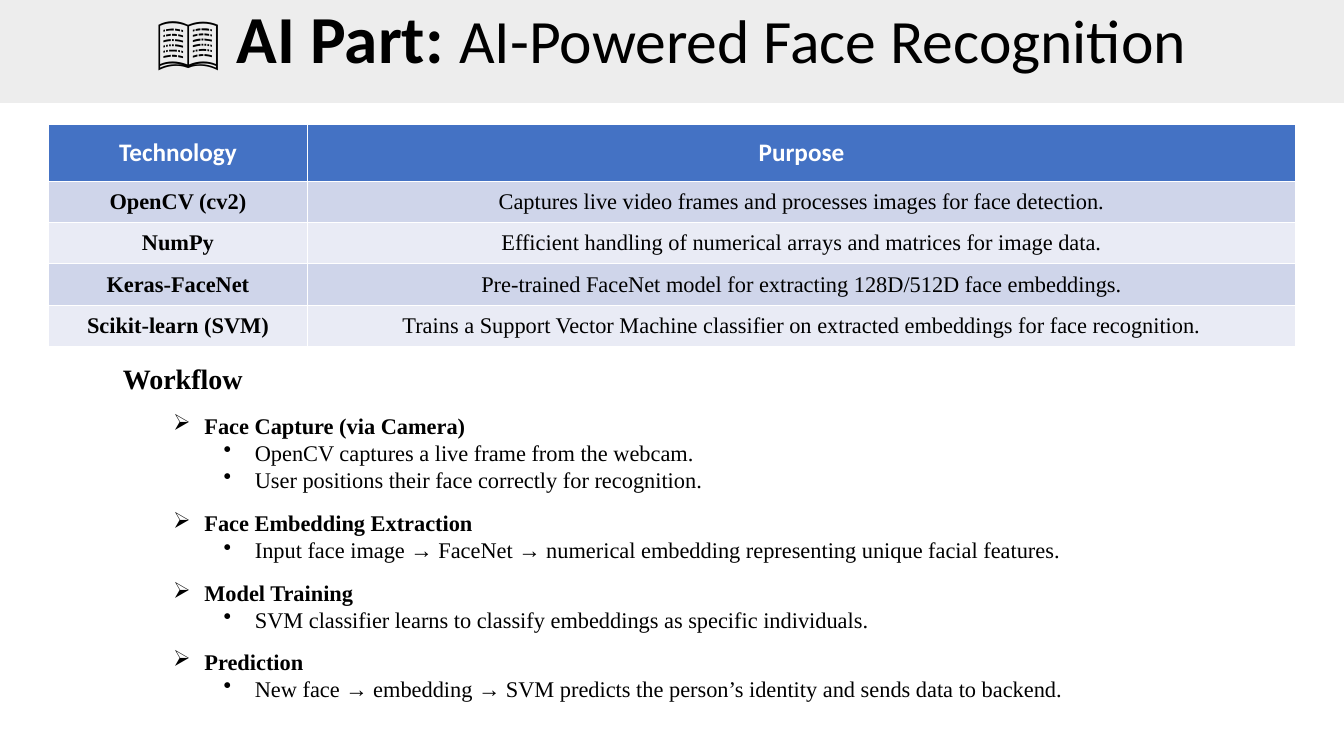
from lxml.etree import SubElement
from pptx import Presentation
from pptx.dml.color import RGBColor
from pptx.enum.shapes import MSO_SHAPE
from pptx.enum.text import MSO_ANCHOR, MSO_AUTO_SIZE, PP_ALIGN
from pptx.oxml.ns import qn
from pptx.util import Inches, Pt

WIDE, HIGH = 13.33, 7.5
SANS, SERIF = "Calibri", "Times New Roman"
HUES = {"band": "EDEDED", "head": "4472C4", "odd": "CFD5EA",
        "even": "E9EBF5", "ink": "000000", "white": "FFFFFF"}

TITLE = [("📖 ", 44, SERIF, True), ("AI Part: ", 48, SANS, True),
         ("AI-Powered Face Recognition", 44, SANS, False)]
TOOLS = [
    ("Technology", "Purpose"),
    ("OpenCV (cv2)", "Captures live video frames and processes images for face detection."),
    ("NumPy", "Efficient handling of numerical arrays and matrices for image data."),
    ("Keras-FaceNet", "Pre-trained FaceNet model for extracting 128D/512D face embeddings."),
    ("Scikit-learn (SVM)", "Trains a Support Vector Machine classifier on extracted "
                           "embeddings for face recognition."),
]
# Each step: space before in points, name, details
STEPS = [
    (12, "Face Capture (via Camera)",
     ["OpenCV captures a live frame from the webcam.",
      "User positions their face correctly for recognition."]),
    (12, "Face Embedding Extraction",
     ["Input face image → FaceNet → numerical embedding representing unique facial features."]),
    (11.5, "Model Training",
     ["SVM classifier learns to classify embeddings as specific individuals."]),
    (10.5, "Prediction",
     ["New face → embedding → SVM predicts the person’s identity and sends data to backend."]),
]


def hue(name):
    return RGBColor.from_string(HUES[name])


def place(left, top, width, height):
    """Turn shares of the slide's size into lengths."""
    return (Inches(WIDE * left), Inches(HIGH * top),
            Inches(WIDE * width), Inches(HIGH * height))


def style(run, size, face, bold, tint="ink"):
    font = run.font
    font.size, font.name, font.bold = Pt(size), face, bold
    font.color.rgb = hue(tint)


def add_title(slide):
    band = slide.shapes.add_shape(MSO_SHAPE.RECTANGLE, *place(0, 0, 1, 0.136))
    band.shadow.inherit = False
    band.fill.solid()
    band.fill.fore_color.rgb = hue("band")
    band.line.fill.background()
    frame = band.text_frame
    frame.word_wrap = True
    frame.vertical_anchor = MSO_ANCHOR.TOP
    para = frame.paragraphs[0]
    para.alignment = PP_ALIGN.CENTER
    para.line_spacing = 0.9
    for text, *look in TITLE:
        run = para.add_run()
        run.text = text
        style(run, *look)


def add_tools(slide):
    grid = slide.shapes.add_table(len(TOOLS), 2, *place(0.036, 0.165, 0.928, 0.293)).table
    grid.columns[0].width, grid.columns[1].width = Inches(2.57), Inches(9.8)
    for row, texts in enumerate(TOOLS):
        head = row == 0
        grid.rows[row].height = Inches(0.56 if head else 0.41)
        fill = "head" if head else ("odd" if row % 2 else "even")
        for col, text in enumerate(texts):
            cell = grid.cell(row, col)
            cell.fill.solid()
            cell.fill.fore_color.rgb = hue(fill)
            cell.vertical_anchor = MSO_ANCHOR.MIDDLE
            para = cell.text_frame.paragraphs[0]
            para.text = text
            para.alignment = PP_ALIGN.CENTER
            if head:
                style(para.runs[0], 18, SANS, True, "white")
            else:
                style(para.runs[0], 16, SERIF, col == 0)


def add_item(frame, text, level, gap=0):
    """Add a bulleted step (level 1) or detail (level 2)."""
    para = frame.add_paragraph()
    para.text = text
    para.level = level
    para.alignment = PP_ALIGN.JUSTIFY
    para.space_before = Pt(gap)
    props = para._p.get_or_add_pPr()
    props.set("marL", str(Inches(0.31 + level * 0.5)))
    props.set("indent", str(Inches(-0.31)))
    SubElement(props, qn("a:buChar")).set("char", "➢" if level == 1 else "•")
    style(para.runs[0], 16, SERIF, level == 1)


def add_flow(slide):
    frame = slide.shapes.add_textbox(*place(0.084, 0.472, 0.832, 0.528)).text_frame
    frame.word_wrap = True
    frame.auto_size = MSO_AUTO_SIZE.SHAPE_TO_FIT_TEXT
    para = frame.paragraphs[0]
    para.text = "Workflow"
    style(para.runs[0], 20, SERIF, True)
    for gap, name, notes in STEPS:
        add_item(frame, name, 1, gap)
        for note in notes:
            add_item(frame, note, 2)


def main():
    deck = Presentation()
    deck.slide_width, deck.slide_height = Inches(WIDE), Inches(HIGH)
    slide = deck.slides.add_slide(deck.slide_layouts[6])
    add_title(slide)
    add_tools(slide)
    add_flow(slide)
    deck.save("out.pptx")


if __name__ == "__main__":
    main()
